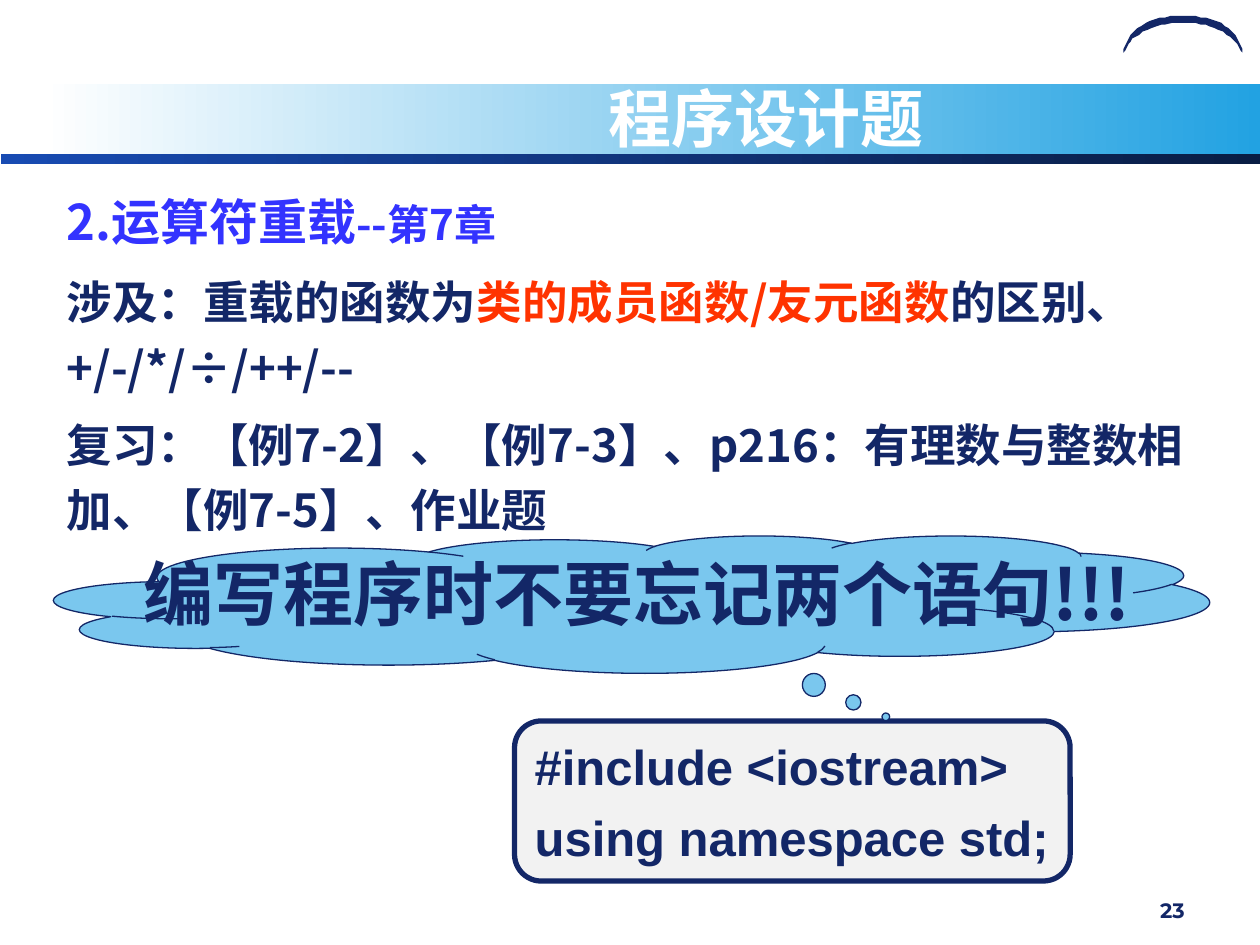
from lxml import etree
from pptx import Presentation
from pptx.dml.color import RGBColor
from pptx.enum import shapes, text
from pptx.oxml import ns
from pptx.util import Pt

NAVY = RGBColor(0x13, 0x27, 0x67)
BLUE = RGBColor(0x33, 0x33, 0xFF)
RED = RGBColor(0xFF, 0x33, 0x00)
WHITE = RGBColor(0xFF, 0xFF, 0xFF)
GREY = RGBColor(0xF2, 0xF2, 0xF2)
SKY = RGBColor(0x7A, 0xC7, 0xEE)
BAND_END = RGBColor(0x22, 0xA2, 0xE2)
RULE_START = RGBColor(0x18, 0x4B, 0xB2)
RULE_END = RGBColor(0x09, 0x1D, 0x44)
CJK = "Noto Sans CJK SC"

# Each paragraph is a list of (text, colour, size) spans.
TITLE = [[("程序设计题", WHITE, 36)]]
HEADING = [[("2.运算符重载", BLUE, 28), ("--第7章", BLUE, 24)]]
TOPICS = [
    [("涉及：重载的函数为", NAVY, 26), ("类的成员函数/友元函数", RED, 26),
     ("的区别、+/-/*/÷/++/--", NAVY, 26)],
    [("复习：【例7-2】、【例7-3】、p216：有理数与整数相加、【例7-5】、作业题", NAVY, 26)],
]
CODE = [[("#include <iostream>", NAVY, 28)], [("using namespace std;", NAVY, 28)]]
REMINDER = [[("编写程序时不要忘记两个语句!!!", NAVY, 40)]]
PAGE_NUMBER = [[("23", NAVY, 11.9)]]

# Crescent outline: start point, then cubic curves (two controls and an end).
CRESCENT_START = (709.9, 30.2)
CRESCENT_CURVES = [
    [(707, 21.6), (694, 13), (676.1, 13)],
    [(658.1, 13), (644.4, 21.6), (642.2, 30.2)],
    [(642.2, 18), (657.4, 8.6), (676.1, 8.6)],
    [(694.8, 8.6), (709.9, 18), (709.9, 30.2)],
]


def write(box, paras, font=CJK, align=text.PP_ALIGN.LEFT, anchor=text.MSO_ANCHOR.TOP,
          wrap=True, before=0, spacing=None):
    frame = box.text_frame
    frame.auto_size = text.MSO_AUTO_SIZE.NONE
    frame.word_wrap = wrap
    frame.vertical_anchor = anchor
    for index, spans in enumerate(paras):
        para = frame.add_paragraph() if index else frame.paragraphs[0]
        para.alignment = align
        para.space_before = Pt(before if index else 0)
        if spacing:
            para.line_spacing = spacing
        for content, colour, size in spans:
            span = para.add_run()
            span.text = content
            span.font.name = font
            span.font.size = Pt(size)
            span.font.bold = True
            span.font.color.rgb = colour
            east_asian = etree.SubElement(span.font._element, ns.qn("a:ea"))
            east_asian.set("typeface", CJK)


def add_text(page, area, paras, **style):
    write(page.shapes.add_textbox(*map(Pt, area)), paras, **style)


def paint(shape, fill, line=None, width=1):
    shape.shadow.inherit = False
    shape.fill.solid()
    shape.fill.fore_color.rgb = fill
    if line is None:
        shape.line.fill.background()
    else:
        shape.line.color.rgb = line
        shape.line.width = Pt(width)


def add_shape(page, kind, area, fill, **outline):
    shape = page.shapes.add_shape(kind, *map(Pt, area))
    paint(shape, fill, **outline)
    return shape


def add_gradient_bar(page, area, *colours):
    bar = add_shape(page, shapes.MSO_SHAPE.RECTANGLE, area, colours[0])
    bar.fill.gradient()
    bar.fill.gradient_angle = 0
    for stop, colour in zip(bar.fill.gradient_stops, colours):
        stop.color.rgb = colour


def curve_points(start, curves, steps=16):
    """Points along a chain of cubic Bezier curves."""
    points = []
    for first, second, end in curves:
        for step in range(1, steps + 1):
            t = step / steps
            weights = ((1 - t) ** 3, 3 * t * (1 - t) ** 2, 3 * t * t * (1 - t), t ** 3)
            corners = (start, first, second, end)
            points.append(tuple(sum(w * c[axis] for w, c in zip(weights, corners))
                                for axis in (0, 1)))
        start = end
    return points


def main():
    deck = Presentation()
    deck.slide_width, deck.slide_height = Pt(720), Pt(540)
    page = deck.slides.add_slide(deck.slide_layouts[5])

    add_gradient_bar(page, (24, 48, 696, 42), WHITE, BAND_END)
    add_gradient_bar(page, (0.5, 88, 719.5, 5.8), RULE_START, RULE_END)
    builder = page.shapes.build_freeform(*CRESCENT_START, scale=Pt(1))
    builder.add_line_segments(curve_points(CRESCENT_START, CRESCENT_CURVES))
    paint(builder.convert_to_shape(), NAVY)
    add_text(page, (610, 511, 74, 25), PAGE_NUMBER, font="Montserrat",
             align=text.PP_ALIGN.RIGHT, spacing=0.9)

    title = page.shapes.title
    title.left, title.top, title.width, title.height = map(Pt, (192, 48, 492, 38))
    write(title, TITLE, font="Arial", align=text.PP_ALIGN.CENTER,
          anchor=text.MSO_ANCHOR.MIDDLE)
    title.element.getparent().append(title.element)  # in front of the band

    add_text(page, (31, 106, 641, 47.5), HEADING)
    topics = add_shape(page, shapes.MSO_SHAPE.RECTANGLE, (31, 147, 664, 214), WHITE)
    write(topics, TOPICS, before=6.5, spacing=1.2)

    code = add_shape(page, shapes.MSO_SHAPE.ROUNDED_RECTANGLE, (294, 412, 317.5, 91.5),
                     GREY, line=NAVY, width=3)
    write(code, CODE, font="Arial", anchor=text.MSO_ANCHOR.MIDDLE, wrap=False, before=7)

    cloud = add_shape(page, shapes.MSO_SHAPE.CLOUD_CALLOUT, (31, 306, 660, 78.5),
                      SKY, line=NAVY, width=0.75)
    cloud.adjustments[0], cloud.adjustments[1] = 0.22, 0.82
    add_text(page, (75, 311, 623, 55.5), REMINDER)

    deck.save("out.pptx")


if __name__ == "__main__":
    main()
